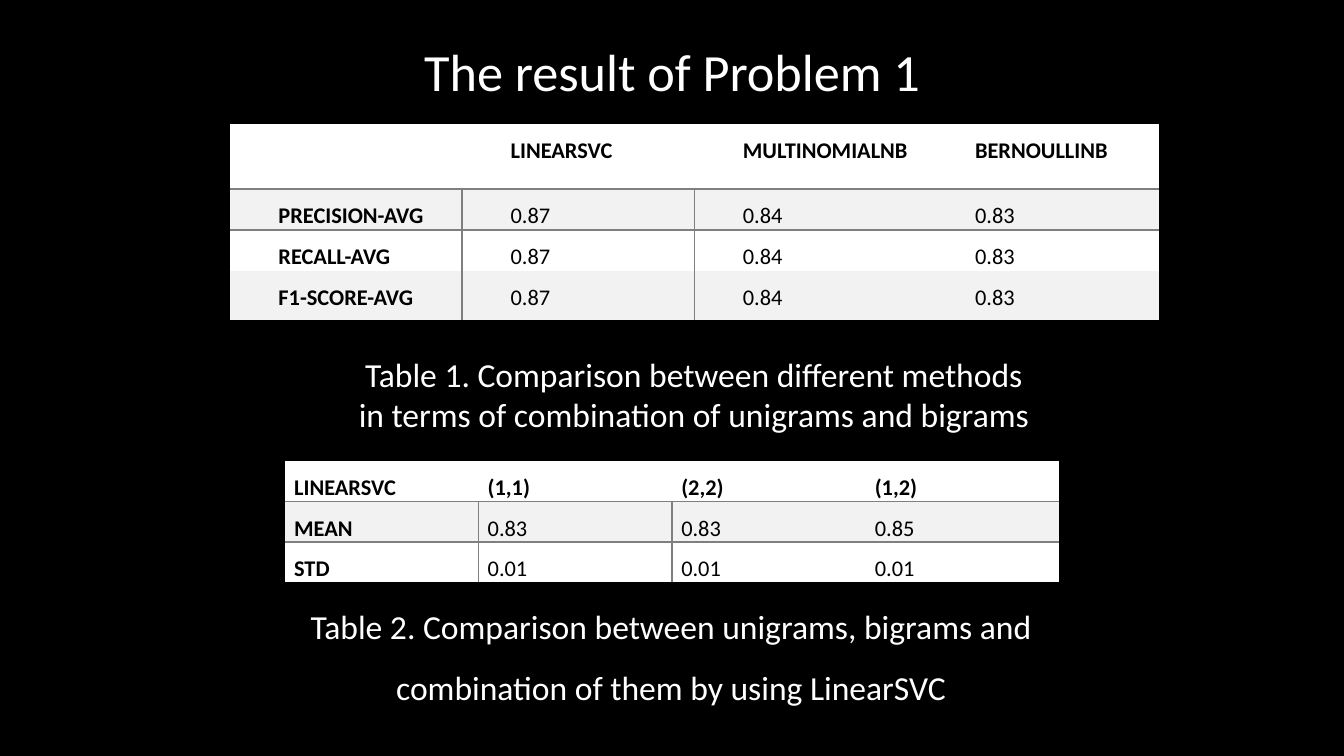
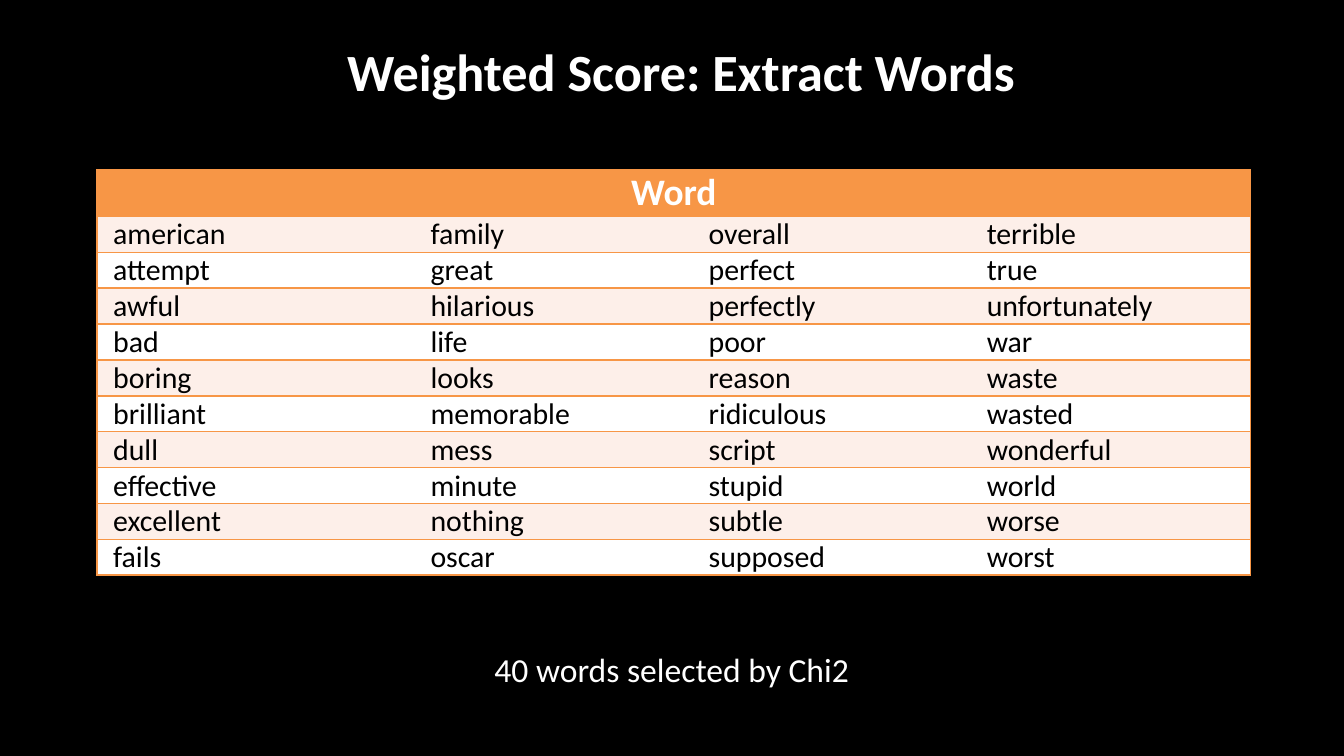
from lxml import etree
from pptx import Presentation
from pptx.dml.color import RGBColor
from pptx.enum.text import MSO_ANCHOR, MSO_AUTO_SIZE, PP_ALIGN
from pptx.oxml.ns import qn
from pptx.util import Pt

LEFT, CENTER, JUSTIFY = PP_ALIGN.LEFT, PP_ALIGN.CENTER, PP_ALIGN.JUSTIFY
TOP = MSO_ANCHOR.TOP
NO_AUTOFIT = MSO_AUTO_SIZE.NONE
TITLE_ONLY = 5
PLAIN_TABLE_STYLE = "{2D5ABB26-0587-4C30-8999-92F81FD0307C}"

FONT = "Calibri"
BLACK, WHITE = "000000", "FFFFFF"
GREY_LINE, GREY_BAND = "7F7F7F", "F2F2F2"
ORANGE, ORANGE_BAND = "F79646", "FDEFE9"
CELL_MARGIN = 5

METHOD_SCORES = [
    ["", "LINEARSVC", "MULTINOMIALNB", "BERNOULLINB"],
    ["PRECISION-AVG", "0.87", "0.84", "0.83"],
    ["RECALL-AVG", "0.87", "0.84", "0.83"],
    ["F1-SCORE-AVG", "0.87", "0.84", "0.83"],
]
NGRAM_SCORES = [
    ["LINEARSVC", "(1,1)", "(2,2)", "(1,2)"],
    ["MEAN", "0.83", "0.83", "0.85"],
    ["STD", "0.01", "0.01", "0.01"],
]
# Sorted words, read down each column
WORDS = """
american attempt awful bad boring brilliant dull effective excellent fails
family great hilarious life looks memorable mess minute nothing oscar
overall perfect perfectly poor reason ridiculous script stupid subtle supposed
terrible true unfortunately war waste wasted wonderful world worse worst
""".split()


def color(hex_string):
    return RGBColor.from_string(hex_string)


def write(frame, text, size=18, fill=WHITE, bold=False, align=CENTER,
          spacing=None, indent=0):
    """Write each line of text as one formatted paragraph."""
    for index, line in enumerate(text.split("\n")):
        paragraph = frame.add_paragraph() if index else frame.paragraphs[0]
        paragraph.alignment = align
        if spacing:
            paragraph.line_spacing = spacing
        if indent:
            paragraph._p.get_or_add_pPr().set("indent", str(Pt(indent)))
        run = paragraph.add_run()
        run.text = line
        run.font.name, run.font.size, run.font.bold = FONT, Pt(size), bold
        run.font.color.rgb = color(fill)


# Shared parts of a slide
def add_titled_slide(presentation, text, box, bold=False):
    slide = presentation.slides.add_slide(presentation.slide_layouts[TITLE_ONLY])
    title = slide.shapes.title
    title.left, title.top, title.width, title.height = map(Pt, box)
    frame = title.text_frame
    frame.margin_left = frame.margin_right = 0
    frame.margin_top = frame.margin_bottom = 0
    frame.vertical_anchor, frame.auto_size = TOP, NO_AUTOFIT
    write(frame, text, size=28, bold=bold)
    return slide


def add_caption(slide, text, box, wrap=True, **text_format):
    frame = slide.shapes.add_textbox(*map(Pt, box)).text_frame
    frame.word_wrap = wrap
    write(frame, text, **text_format)


# Table parts
def add_plain_table(slide, left, top, widths, heights):
    frame = slide.shapes.add_table(
        len(heights), len(widths), Pt(left), Pt(top),
        Pt(sum(widths)), Pt(sum(heights)))
    for style in frame.element.iter(qn("a:tableStyleId")):
        style.text = PLAIN_TABLE_STYLE
    table = frame.table
    for column, width in zip(table.columns, widths):
        column.width = Pt(width)
    for row, height in zip(table.rows, heights):
        row.height = Pt(height)
    return table


def set_borders(cell, sides, line_color):
    properties = cell._tc.get_or_add_tcPr()
    for position, side in enumerate(side for side in "LRTB" if side in sides):
        line = etree.Element(qn(f"a:ln{side}"), w=str(Pt(1)))
        fill = etree.SubElement(line, qn("a:solidFill"))
        etree.SubElement(fill, qn("a:srgbClr"), val=line_color)
        properties.insert(position, line)


def fill_cell(cell, text, background, sides, line_color,
              margin_left=CELL_MARGIN, **text_format):
    cell.fill.solid()
    cell.fill.fore_color.rgb = color(background)
    cell.margin_left, cell.margin_right = Pt(margin_left), Pt(CELL_MARGIN)
    cell.margin_top = cell.margin_bottom = 0
    set_borders(cell, sides, line_color)
    if text:
        write(cell.text_frame, text, **text_format)


def add_score_table(slide, scores, left, top, column_width, heights, indent=0):
    table = add_plain_table(
        slide, left, top, [column_width] * len(scores[0]), heights)
    for row, values in enumerate(scores):
        for column, value in enumerate(values):
            if row == 0:
                sides = "B"
            else:
                sides = ("T" if row == 1 else "") + {0: "R", 1: "L"}.get(column, "")
            fill_cell(table.cell(row, column), value,
                      GREY_BAND if row % 2 else WHITE, sides, GREY_LINE,
                      size=12, fill=BLACK, bold=row == 0 or column == 0,
                      align=JUSTIFY, spacing=1.5, indent=indent)


def add_word_table(slide, left, top, widths, header_height, row_height):
    columns = len(widths)
    rows = len(WORDS) // columns
    table = add_plain_table(
        slide, left, top, widths, [header_height] + [row_height] * rows)
    table.cell(0, 0).merge(table.cell(0, columns - 1))
    for column in range(columns):
        fill_cell(table.cell(0, column), "" if column else "Word",
                  ORANGE, "LRTB", ORANGE, size=20, bold=True)
        sides = "TB" + {0: "L", columns - 1: "R"}.get(column, "")
        for row in range(rows):
            fill_cell(table.cell(row + 1, column), WORDS[column * rows + row],
                      WHITE if row % 2 else ORANGE_BAND, sides, ORANGE,
                      margin_left=8.7, size=16, fill=BLACK, align=LEFT)


# Slides
def add_result_slide(presentation):
    slide = add_titled_slide(
        presentation, "The result of Problem 1", (90.7, 21, 538.6, 34))
    add_score_table(slide, METHOD_SCORES, 123.2, 66.4, 124.4,
                    [34.8, 22, 22, 26.2], indent=21)
    add_caption(slide, "Table 1. Comparison between different methods\n"
                "in terms of combination of unigrams and bigrams",
                (90.7, 186, 562.3, 72.7), wrap=False)
    add_score_table(slide, NGRAM_SCORES, 152.6, 247, 103.7, [21.6] * 3)
    add_caption(slide, "Table 2. Comparison between unigrams, bigrams and "
                "combination of them by using LinearSVC",
                (142.6, 310.3, 434, 72.7), spacing=1.5)


def add_word_slide(presentation):
    slide = add_titled_slide(presentation, "Weighted Score: Extract Words",
                             (59.8, 21, 610, 34), bold=True)
    add_caption(slide, "40 words selected by Chi2", (257.8, 344.2, 294.5, 29),
                align=LEFT)
    add_word_table(slide, 52, 91.2, [170, 149, 149, 150], 24.8, 19.2)


def main():
    presentation = Presentation()
    presentation.slide_width, presentation.slide_height = Pt(720), Pt(405)
    background = presentation.slide_master.background.fill
    background.solid()
    background.fore_color.rgb = color(BLACK)
    add_result_slide(presentation)
    add_word_slide(presentation)
    presentation.save("out.pptx")


if __name__ == "__main__":
    main()
